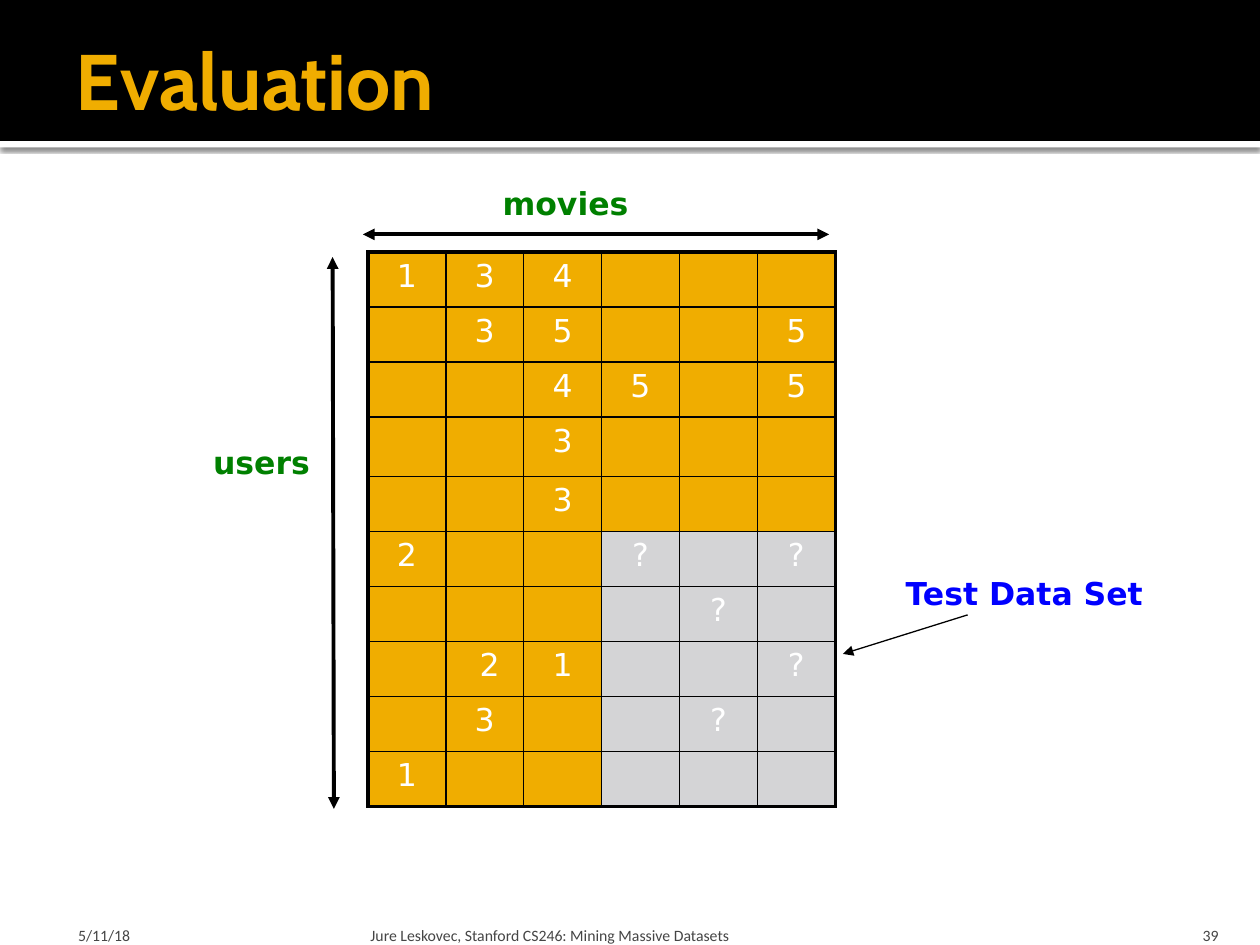
from lxml import etree
from pptx import Presentation
from pptx import util as u
from pptx.dml.color import RGBColor
from pptx.enum import shapes, text
from pptx.oxml import parse_xml
from pptx.oxml.ns import nsdecls, qn

WIDTH, HEIGHT = u.Inches(10), u.Inches(7.5)
COLORS = {"black": "000000", "white": "FFFFFF", "amber": "F0AD00", "gray": "D4D4D6",
          "green": "008000", "blue": "0000FF", "footer": "454545"}
RATINGS = [
    ["1", "3", "4", "", "", ""],
    ["", "3", "5", "", "", "5"],
    ["", "", "4", "5", "", "5"],
    ["", "", "3", "", "", ""],
    ["", "", "3", "", "", ""],
    ["2", "", "", "?", "", "?"],
    ["", "", "", "", "?", ""],
    ["", " 2", "1", "", "", "?"],
    ["", "3", "", "", "?", ""],
    ["1", "", "", "", "", ""],
]
TEST_ROW, TEST_COLUMN, TALL_ROW = 5, 3, 3
ALIGN, ANCHOR = text.PP_ALIGN, text.MSO_ANCHOR


def across(percent):
    return round(WIDTH * percent / 100)


def down(percent):
    return round(HEIGHT * percent / 100)


def place(box):
    left, top, width, height = box
    return across(left), down(top), across(width), down(height)


def apply(target, values):
    for name, value in values.items():
        setattr(target, name, value)


def write(frame, content, font_name, size, color, bold=False, align=None):
    paragraph = frame.paragraphs[0]
    paragraph.alignment = align
    run = paragraph.add_run()
    run.text = content
    apply(run.font, {"name": font_name, "size": u.Pt(size), "bold": bold})
    run.font.color.rgb = RGBColor.from_string(COLORS[color])
    return paragraph


def set_insets(frame, insets):
    sides = ("margin_left", "margin_top", "margin_right", "margin_bottom")
    apply(frame, dict(zip(sides, map(u.Inches, insets))))


def add_band(slide, box, color, shadow=False):
    band = slide.shapes.add_shape(shapes.MSO_SHAPE.RECTANGLE, *place(box))
    band.shadow.inherit = False
    band.fill.solid()
    band.fill.fore_color.rgb = RGBColor.from_string(COLORS[color])
    band.line.fill.background()
    if shadow:
        effects = band.element.spPr.find(qn("a:effectLst"))
        effects.append(parse_xml(
            f'<a:outerShdw {nsdecls("a")} blurRad="{u.Pt(2.5)}" dist="{u.Pt(0.8)}" '
            f'dir="5400000" algn="tl" rotWithShape="0"><a:srgbClr val="{COLORS["black"]}">'
            '<a:alpha val="60000"/></a:srgbClr></a:outerShdw>'))


def format_title(slide, content):
    title = slide.shapes.title
    title.element.getparent().append(title.element)
    apply(title, dict(zip(("left", "top", "width", "height"), place((5, 2.27, 90, 12.27)))))
    frame = title.text_frame
    apply(frame, {"vertical_anchor": ANCHOR.MIDDLE, "word_wrap": True})
    set_insets(frame, (0.1, 0.05, 0.05, 0.05))
    write(frame, content, "Cabin", 45, "amber", True, ALIGN.LEFT)


def add_label(slide, content, box, color, align=None, wrap=False):
    frame = slide.shapes.add_textbox(*place(box)).text_frame
    apply(frame, {"word_wrap": wrap, "auto_size": text.MSO_AUTO_SIZE.SHAPE_TO_FIT_TEXT})
    write(frame, content, "DejaVu Sans", 18, color, True, align)


def add_footer(slide, content, left, width, insets, align=None):
    frame = slide.shapes.add_textbox(*place((left, 96, width, 4))).text_frame
    apply(frame, {"word_wrap": True, "vertical_anchor": ANCHOR.BOTTOM})
    set_insets(frame, insets)
    write(frame, content, "Calibri", 9, "footer", align=align)


def add_arrow(slide, start, end, width, ends):
    arrow = slide.shapes.add_connector(
        shapes.MSO_CONNECTOR.STRAIGHT, across(start[0]), down(start[1]),
        across(end[0]), down(end[1]))
    arrow.line.color.rgb = RGBColor.from_string(COLORS["black"])
    arrow.line.width = u.Pt(width)
    line = arrow.line._get_or_add_ln()
    for end_name in ends:
        etree.SubElement(line, qn(f"a:{end_name}"), type="triangle")
    etree.SubElement(arrow.element.spPr, qn("a:effectLst"))


def add_borders(cell, widths):
    properties = cell._tc.get_or_add_tcPr()
    for index, (side, width) in enumerate(widths.items()):
        properties.insert(index, parse_xml(
            f'<a:ln{side} {nsdecls("a")} w="{u.Pt(width)}"><a:solidFill>'
            f'<a:srgbClr val="{COLORS["black"]}"/></a:solidFill></a:ln{side}>'))


def format_cell(cell, content, row, column):
    is_test = row >= TEST_ROW and column >= TEST_COLUMN
    cell.fill.solid()
    cell.fill.fore_color.rgb = RGBColor.from_string(COLORS["gray" if is_test else "amber"])
    outer = {"L": column == 0, "R": column == len(RATINGS[0]) - 1,
             "T": row == 0, "B": row == len(RATINGS) - 1}
    add_borders(cell, {side: 2.25 if edge else 1 for side, edge in outer.items()})
    if content:
        paragraph = write(cell.text_frame, content, "DejaVu Sans", 18, "white",
                          align=ALIGN.CENTER)
        spacing = etree.SubElement(paragraph._p.get_or_add_pPr(), qn("a:spcBef"))
        etree.SubElement(spacing, qn("a:spcPct"), val="20000")


def add_ratings(slide, box):
    left, top, width, height = place(box)
    row_count, column_count = len(RATINGS), len(RATINGS[0])
    table = slide.shapes.add_table(row_count, column_count, left, top, width, height).table
    apply(table, {"first_row": False, "horz_banding": False})
    tall = u.Inches(0.47)
    for column in table.columns:
        column.width = width // column_count
    for index, row in enumerate(table.rows):
        row.height = tall if index == TALL_ROW else (height - tall) // (row_count - 1)
    for row, values in enumerate(RATINGS):
        for column, content in enumerate(values):
            format_cell(table.cell(row, column), content, row, column)


def main():
    presentation = Presentation()
    apply(presentation, {"slide_width": WIDTH, "slide_height": HEIGHT})
    slide = presentation.slides.add_slide(presentation.slide_layouts.get_by_name("Title Only"))
    add_band(slide, (0, 14.93, 100, 0.67), "white", shadow=True)
    add_band(slide, (0, 0, 100, 14.93), "black")
    format_title(slide, "Evaluation")
    add_ratings(slide, (29.2, 26.67, 37.1, 58.67))
    add_label(slide, "Test Data Set", (70.9, 60.13, 21, 5.33), "blue")
    add_label(slide, "users", (11, 46.27, 19.5, 5.33), "green", ALIGN.CENTER, True)
    both_ends = ("headEnd", "tailEnd")
    add_arrow(slide, (26.4, 27.2), (26.5, 85.6), 2.25, both_ends)
    add_arrow(slide, (28.8, 24.8), (65.8, 24.8), 2.25, both_ends)
    add_arrow(slide, (76.8, 65.07), (66.9, 69.2), 0.75, ("tailEnd",))
    add_label(slide, "movies", (38.9, 18.8, 12.1, 5.33), "green")
    add_footer(slide, "5/11/18", 5, 23.3, (0.12, 0.05, 0.05, 0))
    add_footer(slide, "Jure Leskovec, Stanford CS246: Mining Massive Datasets",
               28.9, 60.2, (0.05, 0.05, 0.05, 0))
    add_footer(slide, "39", 89.7, 8, (0.1, 0.05, 0.1, 0), ALIGN.RIGHT)
    presentation.save("out.pptx")


if __name__ == "__main__":
    main()
